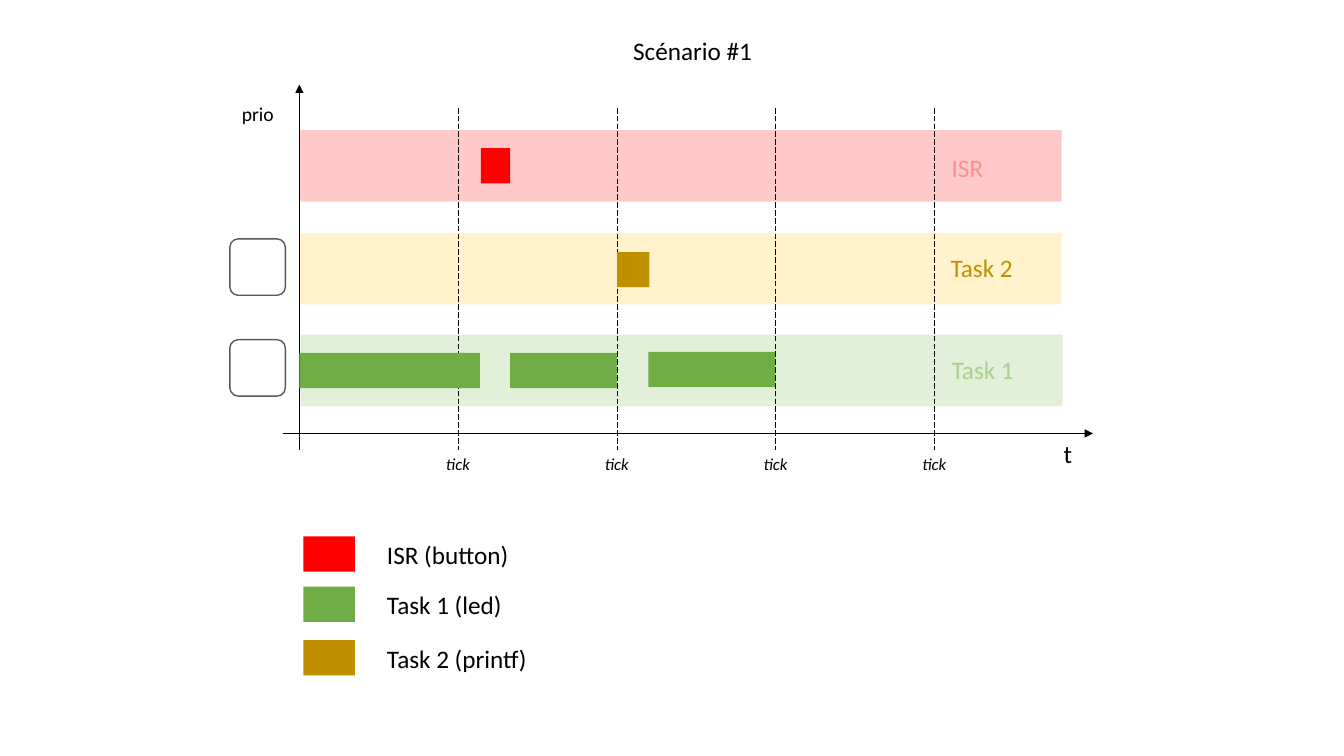
from lxml import etree
from pptx import Presentation
from pptx.dml.color import RGBColor
from pptx.enum import dml, shapes, text
from pptx.oxml.ns import qn
from pptx.util import Inches, Pt

BLACK = RGBColor(0x00, 0x00, 0x00)
GRAY = RGBColor(0x59, 0x59, 0x59)
RED = RGBColor(0xFF, 0x00, 0x00)
GREEN = RGBColor(0x70, 0xAD, 0x47)
GOLD = RGBColor(0xBF, 0x90, 0x00)
PALE_RED = RGBColor(0xFF, 0xC9, 0xC9)
PALE_GREEN = RGBColor(0xE2, 0xF0, 0xD9)
PALE_GOLD = RGBColor(0xFF, 0xF2, 0xCC)
LABEL_RED = RGBColor(0xFF, 0x8F, 0x8F)
LABEL_GREEN = RGBColor(0xA9, 0xD1, 0x8E)

AXIS_X = 2.97
AXIS_Y = 4.3
TICK_GAP = 1.575
BLOCK_HEIGHT = 0.35

presentation = Presentation()
presentation.slide_width = Inches(13.33)
presentation.slide_height = Inches(7.5)
slide = presentation.slides.add_slide(presentation.slide_layouts[5])


def add_label(content, left, top, width, height=0.4, size=18, color=BLACK):
    box = slide.shapes.add_textbox(Inches(left), Inches(top), Inches(width), Inches(height))
    box.text_frame.word_wrap = True
    box.text_frame.auto_size = text.MSO_AUTO_SIZE.SHAPE_TO_FIT_TEXT
    paragraph = box.text_frame.paragraphs[0]
    paragraph.text = content
    paragraph.font.name = "Calibri"
    paragraph.font.size = Pt(size)
    paragraph.font.color.rgb = color
    return box


def add_bar(left, top, width, height, color):
    bar = slide.shapes.add_shape(
        shapes.MSO_SHAPE.RECTANGLE, Inches(left), Inches(top), Inches(width), Inches(height))
    bar.shadow.inherit = False
    bar.fill.solid()
    bar.fill.fore_color.rgb = color
    bar.line.fill.background()


title = slide.shapes.title
title.left, title.top = Inches(4.47), Inches(0.3)
title.width, title.height = Inches(4.8), Inches(0.4)
title.text_frame.text = "Scénario #1"
title.text_frame.vertical_anchor = text.MSO_ANCHOR.TOP
title_paragraph = title.text_frame.paragraphs[0]
title_paragraph.alignment = text.PP_ALIGN.CENTER
title_paragraph.font.name = "Calibri"
title_paragraph.font.size = Pt(18)
title_paragraph.font.color.rgb = BLACK

# Priority lanes
for left, top, color in [
    (2.98, 3.32, PALE_GREEN),
    (AXIS_X, 2.31, PALE_GOLD),
    (AXIS_X, 1.29, PALE_RED),
]:
    add_bar(left, top, 7.56, 0.71, color)

# Axes with arrowheads, then dashed tick lines
ticks = [AXIS_X + TICK_GAP * number for number in range(1, 5)]
lines = [(2.81, AXIS_Y, 10.84, AXIS_Y, True), (AXIS_X, 4.46, AXIS_X, 0.84, True)]
lines += [(tick, 1.07, tick, 4.46, False) for tick in ticks]
for start_x, start_y, end_x, end_y, is_axis in lines:
    connector = slide.shapes.add_connector(
        shapes.MSO_CONNECTOR.STRAIGHT,
        Inches(start_x), Inches(start_y), Inches(end_x), Inches(end_y))
    connector.line.color.rgb = BLACK
    connector.line.width = Pt(0.5)
    if is_axis:
        etree.SubElement(connector.line._get_or_add_ln(), qn("a:tailEnd"), type="triangle")
    else:
        connector.line.dash_style = dml.MSO_LINE.LONG_DASH
    etree.SubElement(connector._element.spPr, qn("a:effectLst"))

for tick in ticks:
    tick_label = add_label("tick", tick - 0.22, 4.45, 0.44, 0.3, 12)
    tick_label.text_frame.word_wrap = False
    tick_label.text_frame.paragraphs[0].font.italic = True

# Lane and axis labels
add_label("ISR", 9.34, 1.46, 1.02, color=LABEL_RED)
add_label("Task 2", 9.33, 2.45, 1.09, color=GOLD)
add_label("Task 1", 9.34, 3.47, 1.09, color=LABEL_GREEN)
add_label("t", 10.45, AXIS_Y, 1.02)
add_label("prio", 2.3, 0.96, 0.55, 0.34, 14)

# Empty priority boxes
for top in (2.37, 3.37):
    priority_box = slide.shapes.add_shape(
        shapes.MSO_SHAPE.ROUNDED_RECTANGLE,
        Inches(2.28), Inches(top), Inches(0.55), Inches(0.56))
    priority_box.adjustments[0] = 0.15
    priority_box.shadow.inherit = False
    priority_box.fill.background()
    priority_box.line.color.rgb = GRAY
    priority_box.line.width = Pt(1)

# Execution blocks
for left, top, width, color in [
    (AXIS_X, 3.5, 1.79, GREEN),
    (4.77, 1.47, 0.29, RED),
    (5.06, 3.5, 1.06, GREEN),
    (6.12, 2.5, 0.32, GOLD),
    (6.43, 3.49, 1.26, GREEN),
]:
    add_bar(left, top, width, BLOCK_HEIGHT, color)

# Legend
for content, top, color in [
    ("ISR (button)", 5.32, RED),
    ("Task 1 (led)", 5.82, GREEN),
    ("Task 2 (printf)", 6.35, GOLD),
]:
    add_bar(3.01, top, 0.51, BLOCK_HEIGHT, color)
    add_label(content, 3.74, top - 0.02, 5.53)

presentation.save("out.pptx")
